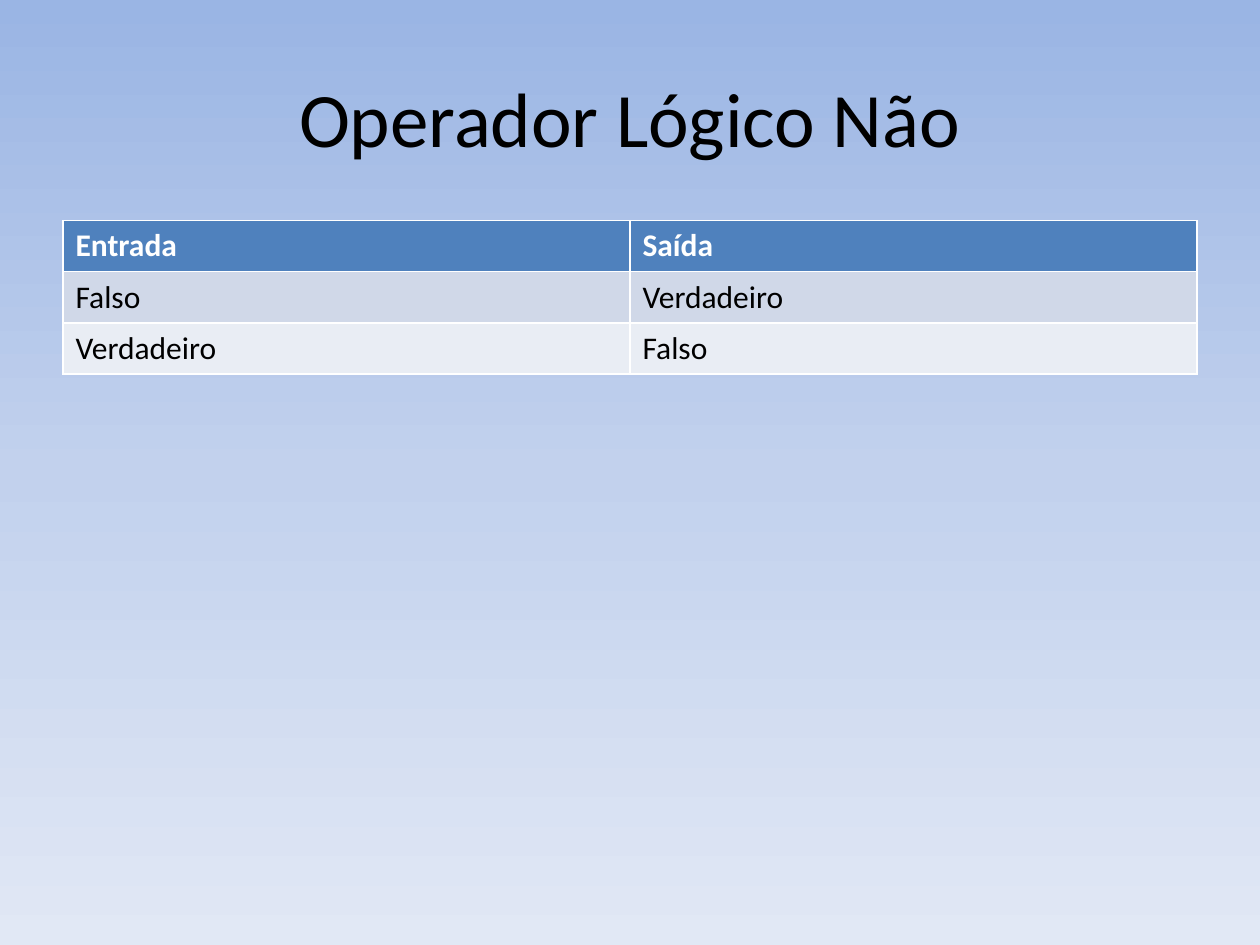
from lxml import etree
from pptx import Presentation
from pptx import util as u
from pptx.dml.color import RGBColor
from pptx.enum import text
from pptx.oxml.ns import qn


def tint(code):
    return RGBColor.from_string(code)


class Deck:
    face = "Calibri"
    ink = "000000"
    white = "FFFFFF"
    head = "4F81BD"
    bands = ("D0D8E8", "E9EDF4")

    def __init__(self, wide, high):
        self.prs = Presentation()
        self.prs.slide_width = u.Inches(wide)
        self.prs.slide_height = u.Inches(high)
        self.slide = self.prs.slides.add_slide(self.prs.slide_layouts[6])

    def backdrop(self, stops):
        fill = self.slide.background.fill
        fill.gradient()
        fill.gradient_angle = 270
        # Replace the default stops
        ramp = next(self.slide.element.iter(qn("a:gsLst")))
        for stop in list(ramp):
            ramp.remove(stop)
        for place, code in stops:
            stop = etree.SubElement(ramp, qn("a:gs"), pos=str(place * 1000))
            etree.SubElement(stop, qn("a:srgbClr"), val=code)

    def label(self, frame, words, size, code, bold=False):
        run = frame.paragraphs[0].add_run()
        run.text = words
        style = {"name": self.face, "size": u.Pt(size), "bold": bold}
        for key, value in style.items():
            setattr(run.font, key, value)
        run.font.color.rgb = tint(code)

    def title(self, words, box, size):
        frame = self.slide.shapes.add_textbox(*map(u.Inches, box)).text_frame
        frame.word_wrap = True
        frame.vertical_anchor = text.MSO_ANCHOR.MIDDLE
        frame.paragraphs[0].alignment = text.PP_ALIGN.CENTER
        self.label(frame, words, size, self.ink)

    def table(self, rows, box, size):
        # The default table style supplies the white borders
        grid = self.slide.shapes.add_table(
            len(rows), len(rows[0]), *map(u.Inches, box)).table
        for r, row in enumerate(rows):
            top = r == 0
            shade = self.head if top else self.bands[(r - 1) % 2]
            for c, words in enumerate(row):
                cell = grid.cell(r, c)
                cell.fill.solid()
                cell.fill.fore_color.rgb = tint(shade)
                self.label(cell.text_frame, words, size,
                           self.white if top else self.ink, top)


deck = Deck(10, 7.5)

# Background
deck.backdrop([(0, "9AB5E4"), (50, "C2D1ED"), (100, "E1E8F5")])

# Heading
deck.title("Operador Lógico Não", (0.5, 0.3, 9, 1.25), 44)

# Truth table
deck.table([("Entrada", "Saída"),
            ("Falso", "Verdadeiro"),
            ("Verdadeiro", "Falso")], (0.5, 1.75, 9, 1.22), 18)

deck.prs.save("out.pptx")
